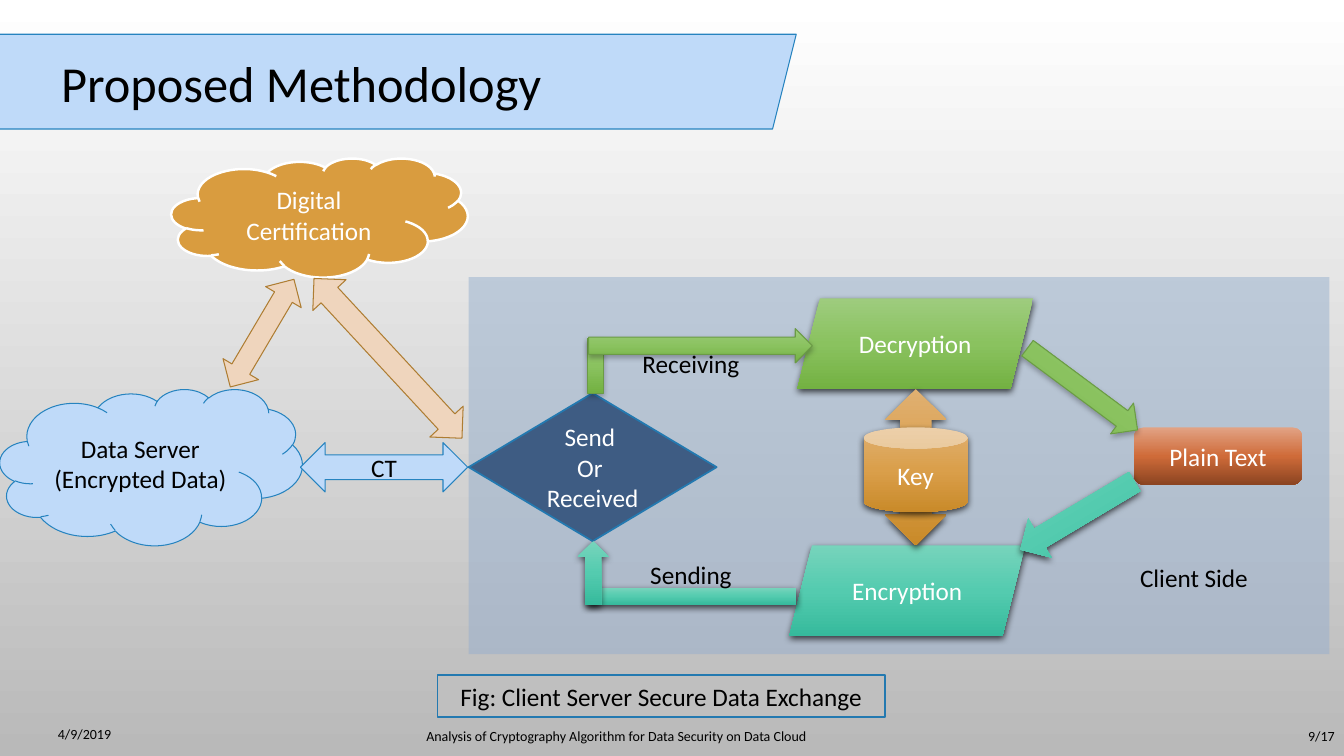
"""Build the Proposed Methodology slide with its client-server data exchange diagram."""
from dataclasses import dataclass
from typing import Any, Optional

import pptx
import pptx.dml.color
import pptx.enum.shapes
import pptx.enum.text
import pptx.oxml
import pptx.oxml.ns
import pptx.util

Pt = pptx.util.Pt
Kind = pptx.enum.shapes.MSO_SHAPE
Align = pptx.enum.text.PP_ALIGN


@dataclass(frozen=True)
class Shadow:
    opacity: int
    blur: float
    distance: float = 2


@dataclass(frozen=True)
class Style:
    fill: tuple[str, ...] = ()
    line: Optional[str] = None
    weight: float = 0.75
    ink: str = "000000"
    shadow: Optional[Shadow] = None
    opacity: int = 100


@dataclass(frozen=True)
class Theme:
    font: str = "Calibri"
    title_size: float = 36
    label_size: float = 18
    footer_size: float = 10
    background: tuple[str, ...] = ("FFFFFF", "B9B9B9")
    plain: Style = Style()
    sky: Style = Style(("BFDAF9",), "2683BF")
    client: Style = Style(("96AFCE",), opacity=50)
    decision: Style = Style(("3E5C83",), "2379B0", 1.25, "FFFFFF")
    caption: Style = Style(("BFBFBF",), "2379B0", 1.25)
    certificate: Style = Style(("D99C3F",), "FFFFFF", 1.75, "FFFFFF")
    trust: Style = Style(("EFD5BD",), "AE7D32")
    message: Style = Style(("E2A385", "CF6B39", "8B4421"), ink="FFFFFF")
    teal: Style = Style(("77D4BC", "54CBAF", "36BA9C"), ink="FFFFFF", shadow=Shadow(69, 5))
    green: Style = Style(("9ECC7E", "8AC25F", "73B142"), ink="FFFFFF", shadow=Shadow(69, 5))
    green_flow: Style = Style(("9ECC7E", "8AC25F", "73B142"), "6B9B46", shadow=Shadow(28, 4))
    gold: Style = Style(("E0B071", "DA9F4B", "C98A29"), ink="FFFFFF", shadow=Shadow(69, 5))


THEME = Theme()


@dataclass(frozen=True)
class Item:
    kind: Optional[Kind]
    left: float
    top: float
    width: float
    height: float
    style: Style = THEME.plain
    text: str = ""
    size: float = THEME.label_size
    align: Align = Align.CENTER
    rotation: float = 0
    adjustments: tuple[float, ...] = ()


BANNER = Item(Kind.PARALLELOGRAM, -19.4, 24.5, 588.2, 67.7, THEME.sky)

FOOTERS = [
    Item(None, 297.4, 511.2, 305.3, 28.8, size=THEME.footer_size, align=Align.LEFT,
         text="Analysis of Cryptography Algorithm for Data Security on Data Cloud"),
    Item(None, -6.5, 509.8, 92.9, 28.8, text="4/9/2019", size=THEME.footer_size, align=Align.RIGHT),
    Item(None, 900, 511.2, 60.5, 28.8, text="9/17", size=THEME.footer_size, align=Align.RIGHT),
]

DIAGRAM = [
    Item(Kind.CLOUD, 0, 277.9, 216, 111.6, THEME.sky, "Data Server\n(Encrypted Data)"),
    Item(Kind.RECTANGLE, 334.8, 198, 614.9, 269.3, THEME.client),
    Item(Kind.PARALLELOGRAM, 563.8, 389.5, 168.5, 64.8, THEME.teal, "Encryption"),
    Item(Kind.DIAMOND, 334.8, 280.8, 177.1, 105.8, THEME.decision, "Send \nOr \nReceived"),
    Item(Kind.PARALLELOGRAM, 569.5, 213.1, 168.5, 64.8, THEME.green, "Decryption"),
    Item(Kind.FLOWCHART_ALTERNATE_PROCESS, 810, 305.3, 120.2, 41, THEME.message, "Plain Text"),
    Item(Kind.UP_DOWN_ARROW, 632.2, 277.9, 43.9, 111.6, THEME.gold),
    Item(Kind.CAN, 617, 305.3, 74.2, 60.5, THEME.gold, "Key"),
    Item(Kind.RECTANGLE, 419.8, 241.9, 11.5, 38.9, THEME.green_flow),
    Item(Kind.RIGHT_ARROW, 420.5, 234.7, 159.8, 24.5, THEME.green_flow),
    Item(Kind.RECTANGLE, 419.8, 419.8, 149, 12.2, THEME.teal),
    Item(Kind.UP_ARROW, 412.6, 386.6, 22.3, 45.4, THEME.teal),
    Item(Kind.RIGHT_ARROW, 724.3, 264.2, 97.9, 27.4, THEME.green_flow, rotation=36.6),
    Item(Kind.LEFT_ARROW, 722.2, 352.1, 95, 32.4, THEME.teal, rotation=329.2,
         adjustments=(0.49, 0.5)),
    Item(Kind.LEFT_RIGHT_ARROW, 214.6, 316.1, 119.5, 35.3, THEME.sky, "CT"),
    Item(Kind.CLOUD, 122.4, 113, 211.7, 85, THEME.certificate, "Digital Certification"),
    Item(Kind.LEFT_RIGHT_ARROW, 142.6, 223.2, 89.3, 29.5, THEME.trust, rotation=300.6),
    Item(Kind.LEFT_RIGHT_ARROW, 199.4, 239.8, 155.5, 32.4, THEME.trust, rotation=47.2),
    Item(None, 439.2, 247.7, 108.7, 24.5, text="Receiving"),
    Item(Kind.RECTANGLE, 312.5, 482.4, 319.7, 29.5, THEME.caption,
         "Fig: Client Server Secure Data Exchange"),
    Item(Kind.OVAL, 784.1, 393.8, 137.5, 36.7, text="Client Side"),
    Item(None, 439.2, 398.2, 108.7, 24.5, text="Sending"),
]


def element(tag: str, attributes: str, content: str = "") -> Any:
    namespace = pptx.oxml.ns.nsdecls("a")
    return pptx.oxml.parse_xml(f"<a:{tag} {namespace} {attributes}>{content}</a:{tag}>")


def rgb(colour: str) -> pptx.dml.color.RGBColor:
    return pptx.dml.color.RGBColor.from_string(colour)


def paint_gradient(owner: Any, fill: Any, colours: tuple[str, ...]) -> None:
    fill.gradient()
    fill.gradient_angle = 270
    stops = owner.element.find(".//" + pptx.oxml.ns.qn("a:gsLst"))
    for stop in list(stops):
        stops.remove(stop)
    for index, colour in enumerate(colours):
        position = 100000 * index // (len(colours) - 1)
        stops.append(element("gs", f'pos="{position}"', f'<a:srgbClr val="{colour}"/>'))


def apply_style(shape: Any, style: Style) -> None:
    if len(style.fill) > 1:
        paint_gradient(shape, shape.fill, style.fill)
    elif style.fill:
        shape.fill.solid()
        shape.fill.fore_color.rgb = rgb(style.fill[0])
        if style.opacity < 100:
            colour = shape.element.spPr.find(".//" + pptx.oxml.ns.qn("a:srgbClr"))
            colour.append(element("alpha", f'val="{style.opacity * 1000}"'))
    else:
        shape.fill.background()
    if style.line:
        shape.line.color.rgb = rgb(style.line)
        shape.line.width = Pt(style.weight)
    else:
        shape.line.fill.background()
    shape.shadow.inherit = False
    if style.shadow:
        effects = shape.element.spPr.find(pptx.oxml.ns.qn("a:effectLst"))
        effects.append(element(
            "outerShdw",
            f'blurRad="{Pt(style.shadow.blur)}" dist="{Pt(style.shadow.distance)}" '
            'dir="5400000" rotWithShape="0"',
            f'<a:srgbClr val="000000"><a:alpha val="{style.shadow.opacity * 1000}"/></a:srgbClr>'))


def write_text(shape: Any, text: str, *, size: float, ink: str, align: Align) -> None:
    frame = shape.text_frame
    frame.word_wrap = True
    frame.auto_size = pptx.enum.text.MSO_AUTO_SIZE.NONE
    frame.vertical_anchor = pptx.enum.text.MSO_ANCHOR.MIDDLE
    for index, line in enumerate(text.split("\n")):
        para = frame.add_paragraph() if index else frame.paragraphs[0]
        para.alignment = align
        span = para.add_run()
        span.text = line
        span.font.name = THEME.font
        span.font.size = Pt(size)
        span.font.color.rgb = rgb(ink)


def draw_item(page: Any, item: Item) -> None:
    place = [Pt(length) for length in (item.left, item.top, item.width, item.height)]
    if item.kind is None:
        shape = page.shapes.add_textbox(*place)
    else:
        shape = page.shapes.add_shape(item.kind, *place)
        shape.rotation = item.rotation
        for index, value in enumerate(item.adjustments):
            shape.adjustments[index] = value
        apply_style(shape, item.style)
    if item.text:
        write_text(shape, item.text, size=item.size, ink=item.style.ink, align=item.align)


def draw_title(page: Any, text: str) -> None:
    draw_item(page, BANNER)
    title = page.shapes.title
    title.left, title.top = Pt(36.4), Pt(BANNER.top + 0.5)
    title.width, title.height = Pt(500), Pt(BANNER.height)
    title.element.getparent().append(title.element)
    write_text(title, text, size=THEME.title_size, ink=BANNER.style.ink, align=Align.LEFT)


def main() -> None:
    deck = pptx.Presentation()
    deck.slide_width, deck.slide_height = Pt(960), Pt(540)
    page = deck.slides.add_slide(deck.slide_layouts[5])
    paint_gradient(page, page.background.fill, THEME.background)
    draw_title(page, "Proposed Methodology")
    for item in FOOTERS + DIAGRAM:
        draw_item(page, item)
    deck.save("out.pptx")


if __name__ == "__main__":
    main()
